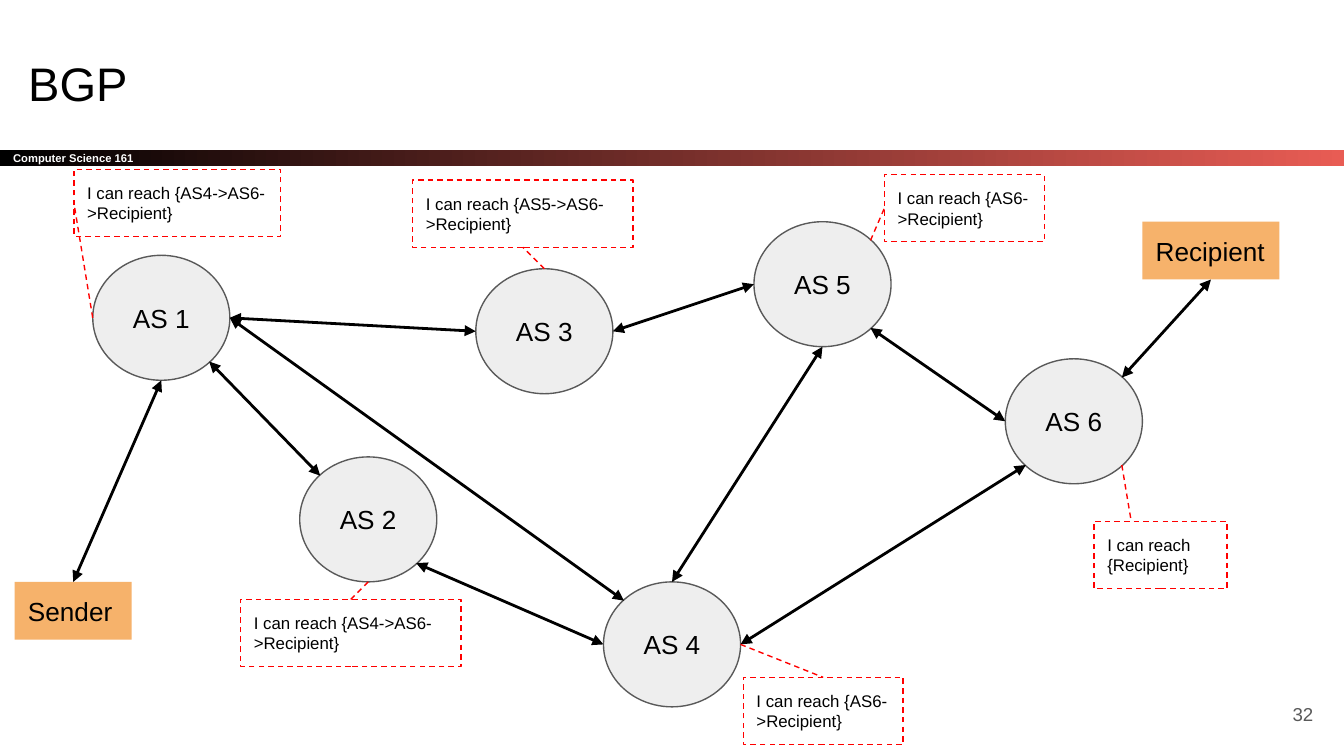
from lxml.etree import SubElement
from pptx import Presentation
from pptx.dml.color import RGBColor
from pptx.enum.dml import MSO_LINE
from pptx.enum.shapes import MSO_CONNECTOR, MSO_SHAPE
from pptx.enum.text import MSO_ANCHOR, PP_ALIGN
from pptx.oxml.ns import qn
from pptx.util import Inches, Pt

WIDE, HIGH = Inches(10), Inches(5.625)
CELL = WIDE // 100

TITLE = ("BGP", (1.1, 3, 93.2, 6.3))
BAND = ("Computer Science 161", (0, 11.15, 100, 1.2))
PAGE = ("32", (92.7, 51, 6, 4.3))
ENDS = {
    "Sender": (1.1, 43.3, 8.7, 4.3),
    "Recipient": (85, 16.5, 10.2, 4.3),
}
NODES = {
    "AS 1": (6.9, 19),
    "AS 3": (35.4, 20),
    "AS 2": (22.3, 34),
    "AS 5": (56.1, 16.5),
    "AS 4": (44.9, 43.3),
    "AS 6": (74.8, 26.7),
}
NODE_SIZE = (10.2, 9.3)
NOTE_HIGH = 5
LINKS = [
    ("Sender", "n", "AS 1", "s"),
    ("AS 1", "e", "AS 3", "w"),
    ("AS 1", "se", "AS 2", "nw"),
    ("AS 4", "e", "AS 6", "sw"),
    ("AS 6", "ne", "Recipient", "s"),
    ("AS 4", "n", "AS 5", "s"),
    ("AS 5", "se", "AS 6", "w"),
    ("AS 3", "e", "AS 5", "w"),
    ("AS 1", "e", "AS 4", "nw"),
    ("AS 2", "se", "AS 4", "w"),
]
NOTES = [
    ("AS 6", "se", "top", "{Recipient}", (81.4, 38.8, 9.9)),
    ("AS 4", "e", "n", "{AS6->Recipient}", (55.3, 50.4, 11.9)),
    ("AS 5", "ne", "w", "{AS6->Recipient}", (65.8, 13, 11.9)),
    ("AS 2", "s", "n", "{AS4->AS6->Recipient}", (17.9, 44.6, 16.4)),
    ("AS 3", "n", "s", "{AS5->AS6->Recipient}", (30.7, 13.4, 16.4)),
    ("AS 1", "w", "w", "{AS4->AS6->Recipient}", (5.5, 12.6, 15.4)),
]
PORTS = {
    "n": (0.5, 0), "w": (0, 0.5), "s": (0.5, 1), "e": (1, 0.5),
    "nw": (0.15, 0.15), "ne": (0.85, 0.15),
    "sw": (0.15, 0.85), "se": (0.85, 0.85),
    "top": (0.28, 0),
}
SIDES = ["n", "w", "s", "e"]
FRAME = {"word_wrap": True, "vertical_anchor": MSO_ANCHOR.MIDDLE}
FRAME |= {"margin_" + side: Inches(0.1) for side in ("left", "top", "right", "bottom")}


def tint(code):
    return RGBColor.from_string(code)


def units(spot):
    return [round(part * CELL) for part in spot]


def assign(item, values):
    for name, value in values.items():
        setattr(item, name, value)


def write(shape, text, size, color="000000", align=PP_ALIGN.LEFT, bold=False, **frame):
    assign(shape.text_frame, FRAME | frame)
    line = shape.text_frame.paragraphs[0]
    line.alignment = align
    run = line.add_run()
    run.text = text
    assign(run.font, {"name": "Arial", "size": Pt(size), "bold": bold})
    run.font.color.rgb = tint(color)


def stroke(line, color, width, dash=None):
    line.color.rgb = tint(color)
    assign(line, {"width": Pt(width), "dash_style": dash})


def block(kind, spot, fill=None, edge=None):
    shape = slide.shapes.add_shape(kind, *units(spot))
    shape.shadow.inherit = False
    if fill:
        shape.fill.solid()
        shape.fill.fore_color.rgb = tint(fill)
    else:
        shape.fill.background()
    if edge:
        stroke(shape.line, *edge)
    else:
        shape.line.fill.background()
    return shape


def point(shape, port):
    across, down = PORTS[port]
    return round(shape.left + shape.width * across), round(shape.top + shape.height * down)


def join(first, start, last, stop, style, arrows=False):
    wire = slide.shapes.add_connector(
        MSO_CONNECTOR.STRAIGHT, *point(first, start), *point(last, stop))
    stroke(wire.line, *style)
    pairs = ((first, start, wire.begin_connect), (last, stop, wire.end_connect))
    for shape, port, attach in pairs:
        if shape.auto_shape_type == MSO_SHAPE.RECTANGLE and port in SIDES:
            attach(shape, SIDES.index(port))
    props = wire._element.spPr
    if arrows:
        for tag in ("a:headEnd", "a:tailEnd"):
            SubElement(props.find(qn("a:ln")), qn(tag), type="triangle")
    SubElement(props, qn("a:effectLst"))


deck = Presentation()
assign(deck, {"slide_width": WIDE, "slide_height": HIGH})
slide = deck.slides.add_slide(deck.slide_layouts[5])

text, spot = TITLE
title = slide.shapes.title
assign(title, dict(zip(("left", "top", "width", "height"), units(spot))))
write(title, text, 25.2)

text, spot = BAND
band = block(MSO_SHAPE.RECTANGLE, spot)
band.fill.gradient()
band.fill.gradient_angle = 0
for stop, code in zip(band.fill.gradient_stops, ("000000", "E85C54")):
    stop.color.rgb = tint(code)
write(band, text, 6, "FFFFFF", bold=True)

text, spot = PAGE
write(slide.shapes.add_textbox(*units(spot)), text, 10, "595959", PP_ALIGN.RIGHT)

parts = {}
for name, spot in ENDS.items():
    parts[name] = block(MSO_SHAPE.RECTANGLE, spot, "F6B26B")
    write(parts[name], name, 14)
for name, spot in NODES.items():
    parts[name] = block(MSO_SHAPE.OVAL, spot + NODE_SIZE, "EEEEEE", ("595959", 0.75))
    write(parts[name], name, 14, align=PP_ALIGN.CENTER)

for first, start, last, stop in LINKS:
    join(parts[first], start, parts[last], stop, ("000000", 1.5), True)

DASHED = ("FF0000", 0.75, MSO_LINE.DASH)
for name, start, stop, route, spot in NOTES:
    note = block(MSO_SHAPE.RECTANGLE, spot + (NOTE_HIGH,), edge=DASHED)
    write(note, "I can reach " + route, 9, vertical_anchor=MSO_ANCHOR.TOP)
    join(parts[name], start, note, stop, DASHED)

deck.save("out.pptx")
